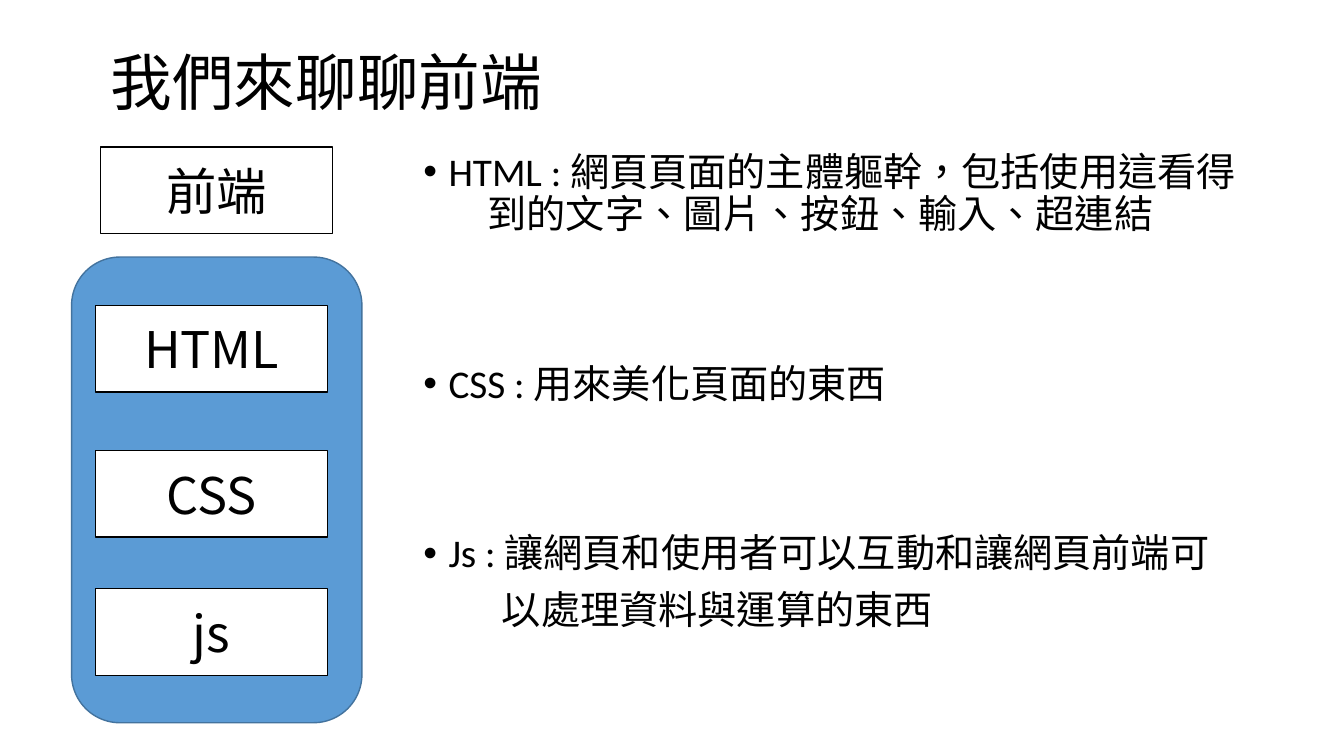
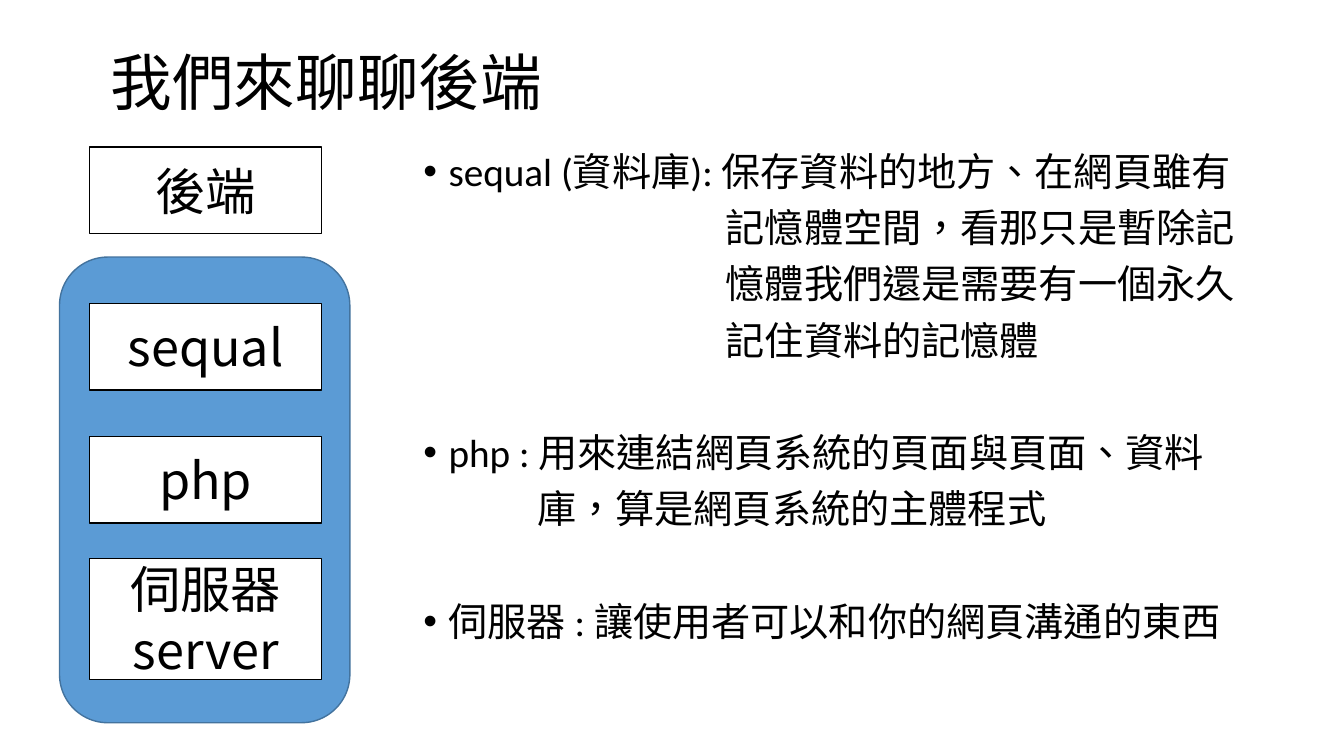
from dataclasses import dataclass

from lxml.etree import SubElement
from pptx import Presentation
from pptx.dml.color import RGBColor
from pptx.enum.shapes import MSO_SHAPE
from pptx.enum.text import MSO_ANCHOR, PP_ALIGN
from pptx.oxml.ns import qn
from pptx.slide import Slide
from pptx.text.text import TextFrame, _Paragraph
from pptx.util import Inches, Pt

BLACK = RGBColor(0x00, 0x00, 0x00)
WHITE = RGBColor(0xFF, 0xFF, 0xFF)
BLUE = RGBColor(0x5B, 0x9B, 0xD5)
DARK_BLUE = RGBColor(0x43, 0x73, 0x9E)
LATIN_FONT = "Calibri"
CJK_FONT = "Noto Sans CJK SC"
BOX_WIDTH = 2.3
BOX_HEIGHT = 0.86
HEADING_TOP = 1.46


@dataclass
class Box:
    left: float
    top: float
    lines: tuple[str, ...]
    height: float = BOX_HEIGHT


@dataclass
class Note:
    text: str
    before: float = 10
    indent: float = 0.25
    bullet: bool = True


@dataclass
class Topic:
    title: str
    panel_left: float
    boxes: list[Box]
    notes: list[Note]


TOPICS = [
    Topic(
        "我們來聊聊前端",
        0.71,
        [
            Box(1, HEADING_TOP, ("前端",)),
            Box(0.95, 3.03, ("HTML",)),
            Box(0.95, 4.47, ("CSS",)),
            Box(0.95, 5.84, ("js",)),
        ],
        [
            Note("HTML : 網頁頁面的主體軀幹，包括使用這看得\t\u3000到的文字、圖片、按鈕、輸入、超連結"),
            Note("CSS : 用來美化頁面的東西", before=91),
            Note("Js : 讓網頁和使用者可以互動和讓網頁前端可", before=91),
            Note("以處理資料與運算的東西", indent=0.78, bullet=False),
        ],
    ),
    Topic(
        "我們來聊聊後端",
        0.59,
        [
            Box(0.89, HEADING_TOP, ("後端",)),
            Box(0.89, 3.01, ("sequal",)),
            Box(0.89, 4.33, ("php",)),
            Box(0.89, 5.54, ("伺服器", "server"), height=1.2),
        ],
        [
            Note("sequal (資料庫): 保存資料的地方、在網頁雖有"),
            Note("記憶體空間，看那只是暫除記", indent=3, bullet=False),
            Note("憶體我們還是需要有一個永久", indent=3, bullet=False),
            Note("記住資料的記憶體", indent=3, bullet=False),
            Note("php : 用來連結網頁系統的頁面與頁面、資料", before=50),
            Note("庫，算是網頁系統的主體程式", indent=1.13, bullet=False),
            Note("伺服器 : 讓使用者可以和你的網頁溝通的東西", before=50),
        ],
    ),
]


def add_run(p: _Paragraph, text: str, size: float, font: str) -> None:
    r = p.add_run()
    r.text = text
    r.font.size = Pt(size)
    r.font.name = font
    r.font.color.rgb = BLACK
    rPr = r._r.get_or_add_rPr()
    rPr.set("lang", "zh-TW")
    SubElement(rPr, qn("a:ea")).set("typeface", CJK_FONT)


def next_paragraph(tf: TextFrame, index: int) -> _Paragraph:
    return tf.add_paragraph() if index else tf.paragraphs[0]


def add_text_box(s: Slide, left: float, top: float, width: float, height: float) -> TextFrame:
    tf = s.shapes.add_textbox(
        Inches(left), Inches(top), Inches(width), Inches(height)
    ).text_frame
    tf.word_wrap = True
    return tf


def add_block(s: Slide, kind: MSO_SHAPE, left: float, top: float, width: float,
              height: float, fill: RGBColor, line: RGBColor) -> TextFrame:
    sp = s.shapes.add_shape(
        kind, Inches(left), Inches(top), Inches(width), Inches(height)
    )
    sp.shadow.inherit = False
    sp.fill.solid()
    sp.fill.fore_color.rgb = fill
    sp.line.color.rgb = line
    sp.line.width = Pt(1)
    return sp.text_frame


def add_title(s: Slide, title: str) -> None:
    tf = add_text_box(s, 1, 0.12, 11.5, 1.45)
    tf.vertical_anchor = MSO_ANCHOR.MIDDLE
    p = tf.paragraphs[0]
    p.line_spacing = 0.9
    add_run(p, title, 44, LATIN_FONT)


def add_box(s: Slide, box: Box) -> None:
    tf = add_block(s, MSO_SHAPE.RECTANGLE, box.left, box.top, BOX_WIDTH,
                   box.height, WHITE, BLACK)
    tf.word_wrap = True
    tf.vertical_anchor = MSO_ANCHOR.MIDDLE
    for i, line in enumerate(box.lines):
        p = next_paragraph(tf, i)
        p.alignment = PP_ALIGN.CENTER
        add_run(p, line, 36, CJK_FONT)


def add_notes(s: Slide, notes: list[Note]) -> None:
    tf = add_text_box(s, 4.1, HEADING_TOP, 8.32, 5.72)
    for i, note in enumerate(notes):
        p = next_paragraph(tf, i)
        p.line_spacing = 0.9
        p.space_before = Pt(note.before)
        pPr = p._p.get_or_add_pPr()
        pPr.set("marL", str(Inches(note.indent)))
        pPr.set("indent", str(-Inches(note.indent) if note.bullet else 0))
        if note.bullet:
            SubElement(pPr, qn("a:buFont")).set("typeface", "Arial")
            SubElement(pPr, qn("a:buChar")).set("char", "•")
        add_run(p, note.text, 28, LATIN_FONT)


def add_topic(s: Slide, topic: Topic) -> None:
    add_title(s, topic.title)
    add_block(s, MSO_SHAPE.ROUNDED_RECTANGLE, topic.panel_left, 2.55, 2.88, 4.62,
              BLUE, DARK_BLUE)
    for box in topic.boxes:
        add_box(s, box)
    add_notes(s, topic.notes)


prs = Presentation()
prs.slide_width = Inches(13.33)
prs.slide_height = Inches(7.5)
for topic in TOPICS:
    add_topic(prs.slides.add_slide(prs.slide_layouts[6]), topic)
prs.save("out.pptx")
